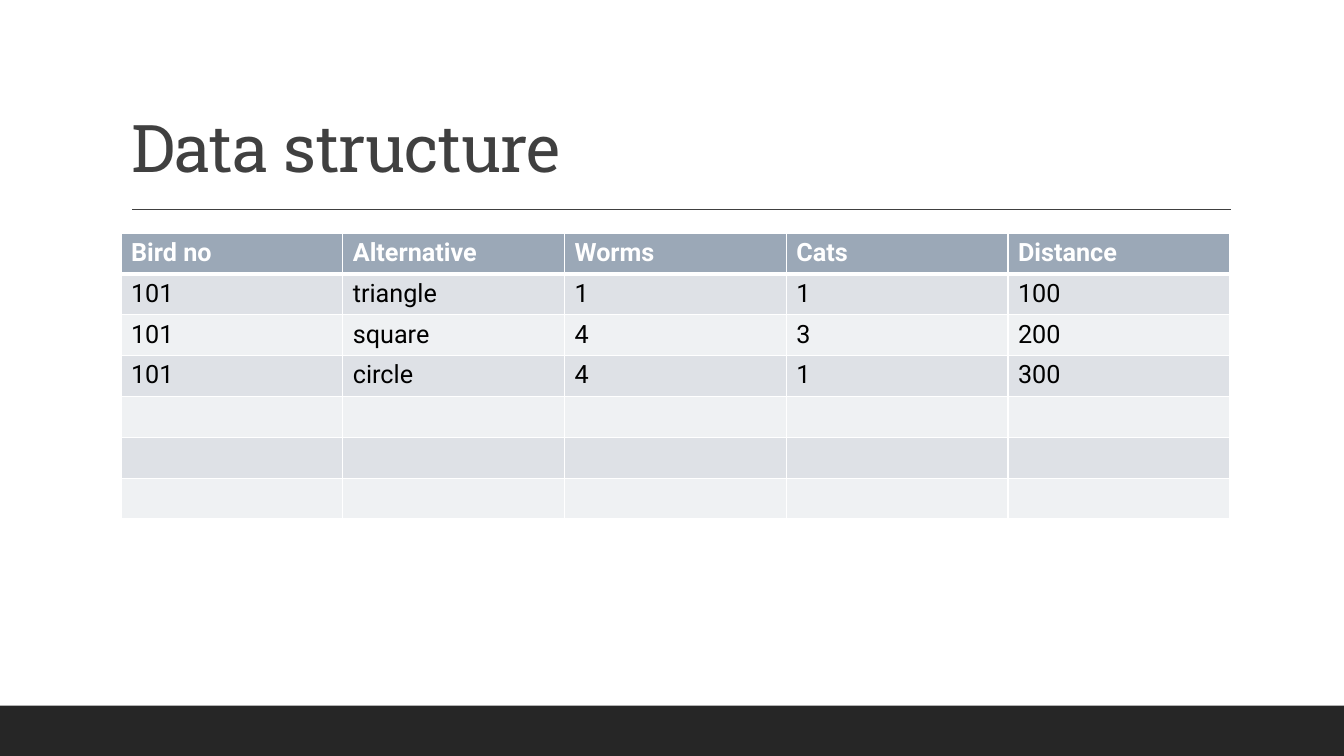
from pptx import Presentation
from pptx.dml.color import RGBColor
from pptx.enum.shapes import MSO_CONNECTOR as Connector, MSO_SHAPE as Shape
from pptx.enum.text import MSO_ANCHOR as Anchor, MSO_AUTO_SIZE as AutoSize, PP_ALIGN as Align
from pptx.oxml.ns import qn
from pptx.util import Cm, Pt
from lxml.etree import SubElement

HEADER = ["Bird no", "Alternative", "Worms", "Cats", "Distance"]
OBSERVATIONS = [
    ["101", "triangle", "1", "1", "100"],
    ["101", "square", "4", "3", "200"],
    ["101", "circle", "4", "1", "300"],
]
EMPTY_ROWS = 3


def color(value):
    return RGBColor.from_string(value)


class SlideBuilder:
    title_font = "Roboto Slab"
    body_font = "Roboto"
    ink = "404040"
    footer = "262626"
    white = "FFFFFF"
    header_fill = "9BA8B7"
    band_fills = ["DEE1E6", "EFF1F3"]

    def __init__(self, presentation):
        self.slide = presentation.slides.add_slide(presentation.slide_layouts[5])

    def style_runs(self, paragraph, font, size, value, bold=False):
        for run in paragraph.runs:
            run.font.name = font
            run.font.size = Pt(size)
            run.font.bold = bold
            run.font.color.rgb = color(value)

    def add_bar(self, left, top, width, height):
        bar = self.slide.shapes.add_shape(Shape.RECTANGLE, Cm(left), Cm(top), Cm(width), Cm(height))
        bar.shadow.inherit = False
        bar.fill.solid()
        bar.fill.fore_color.rgb = color(self.footer)
        bar.line.fill.background()

    def add_rule(self, left, right, y):
        rule = self.slide.shapes.add_connector(Connector.STRAIGHT, Cm(left), Cm(y), Cm(right), Cm(y))
        rule.line.color.rgb = color(self.ink)
        rule.line.width = Pt(1)
        SubElement(rule._element.spPr, qn("a:effectLst"))

    def add_title(self, text, left, top, width, height):
        title = self.slide.shapes.title
        title.left, title.top, title.width, title.height = Cm(left), Cm(top), Cm(width), Cm(height)
        frame = title.text_frame
        frame.text = text
        frame.word_wrap = True
        frame.auto_size = AutoSize.NONE
        frame.vertical_anchor = Anchor.BOTTOM
        paragraph = frame.paragraphs[0]
        paragraph.alignment = Align.LEFT
        paragraph.line_spacing = 0.9
        self.style_runs(paragraph, self.title_font, 47, self.ink)
        for run in paragraph.runs:
            run.font._element.set("spc", "-50")

    def add_borders(self, cell, top, bottom):
        properties = cell._tc.get_or_add_tcPr()
        for side, points in {"L": 1, "R": 1, "T": top, "B": bottom}.items():
            border = SubElement(properties, qn(f"a:ln{side}"), w=str(Pt(points)))
            fill = SubElement(border, qn("a:solidFill"))
            SubElement(fill, qn("a:srgbClr"), val=self.white)

    def add_table(self, rows, left, top, width, height):
        frame = self.slide.shapes.add_table(
            len(rows), len(rows[0]), Cm(left), Cm(top), Cm(width), Cm(height)
        )
        for row_index, row in enumerate(rows):
            is_header = row_index == 0
            fill = self.header_fill if is_header else self.band_fills[(row_index - 1) % 2]
            for column_index, text in enumerate(row):
                cell = frame.table.cell(row_index, column_index)
                self.add_borders(cell, 3 if row_index == 1 else 1, 3 if is_header else 1)
                cell.fill.solid()
                cell.fill.fore_color.rgb = color(fill)
                if text:
                    cell.text_frame.text = text
                    self.style_runs(
                        cell.text_frame.paragraphs[0], self.body_font, 18,
                        self.white if is_header else "000000", is_header,
                    )


def main():
    presentation = Presentation()
    presentation.slide_width = Cm(33.87)
    presentation.slide_height = Cm(19.05)
    builder = SlideBuilder(presentation)
    builder.add_bar(0, 17.78, 33.87, 1.27)
    builder.add_rule(3.33, 31.01, 5.28)
    builder.add_title("Data structure", 3.05, 0.79, 27.94, 4.04)
    rows = [HEADER] + OBSERVATIONS + [[""] * len(HEADER)] * EMPTY_ROWS
    builder.add_table(rows, 3.05, 5.87, 27.94, 7.21)
    presentation.save("out.pptx")


if __name__ == "__main__":
    main()
